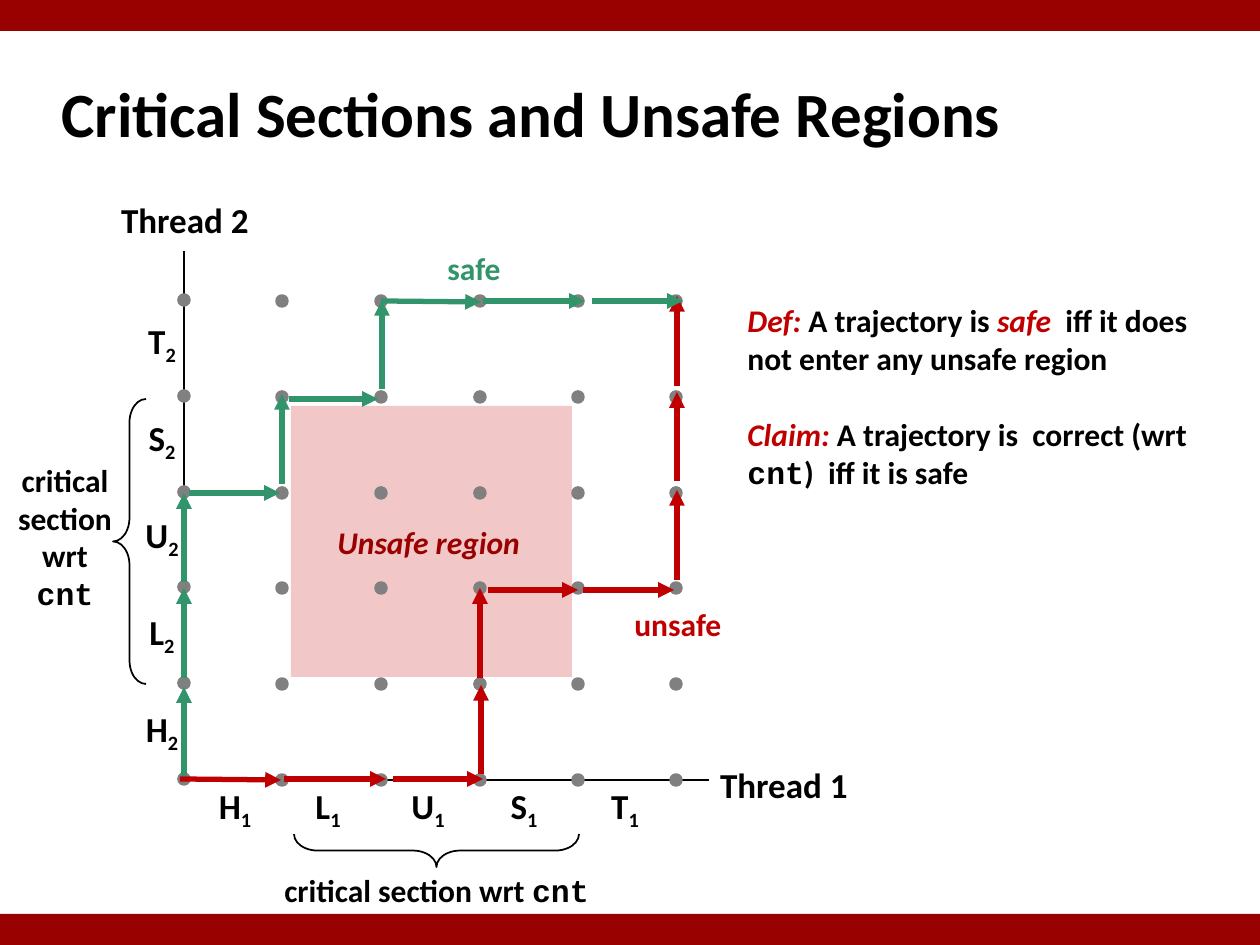
from dataclasses import dataclass

from lxml import etree
from pptx import Presentation
from pptx.dml.color import RGBColor
from pptx.enum.shapes import MSO_CONNECTOR, MSO_SHAPE
from pptx.enum.text import MSO_ANCHOR, PP_ALIGN
from pptx.oxml.ns import qn
from pptx.slide import Slide
from pptx.util import Emu, Pt

STRAIGHT = MSO_CONNECTOR.STRAIGHT
RECTANGLE, OVAL, BRACE = MSO_SHAPE.RECTANGLE, MSO_SHAPE.OVAL, MSO_SHAPE.LEFT_BRACE
TOP, MIDDLE = MSO_ANCHOR.TOP, MSO_ANCHOR.MIDDLE
LEFT, CENTER = PP_ALIGN.LEFT, PP_ALIGN.CENTER
EMU_PER_PX = 914400 / 126


@dataclass(frozen=True)
class Theme:
    bar: str = "990000"
    region: str = "F1C7C7"
    ink: str = "000000"
    dot: str = "808080"
    unsafe: str = "C00000"
    safe: str = "32946A"
    font: str = "Calibri"
    code: str = "Courier New"
    title: int = 36
    label: int = 20
    body: int = 18
    line_gap: int = 22
    thin: int = 1
    outline: int = 2
    thick: int = 3


THEME = Theme()


@dataclass(frozen=True)
class Span:
    text: str
    color: str = THEME.ink
    font: str = THEME.font
    italic: bool = False
    subscript: bool = False


@dataclass(frozen=True)
class Label:
    frame: tuple[int, int, int, int]
    paras: tuple[tuple[Span, ...], ...]
    size: int = THEME.body
    align: PP_ALIGN = CENTER
    anchor: MSO_ANCHOR = MIDDLE
    wrap: bool = False
    inset: int = 6


@dataclass(frozen=True)
class Trajectory:
    color: str
    steps: tuple[tuple[int, int, int, int], ...]


def px(value: float) -> Emu:
    return Emu(round(value * EMU_PER_PX))


def color(value: str) -> RGBColor:
    return RGBColor.from_string(value)


def draw_shape(page: Slide, kind: MSO_SHAPE, frame: tuple[int, int, int, int],
               fill: str | None = None, line: str | None = None, width: int = 1):
    shape = page.shapes.add_shape(kind, *map(px, frame))
    shape.shadow.inherit = False
    if fill:
        shape.fill.solid()
        shape.fill.fore_color.rgb = color(fill)
    else:
        shape.fill.background()
    if line:
        shape.line.color.rgb = color(line)
        shape.line.width = Pt(width)
    else:
        shape.line.fill.background()
    return shape


def draw_brace(page: Slide, frame: tuple[int, int, int, int], rotation: int = 0) -> None:
    brace = draw_shape(page, BRACE, frame, line=THEME.ink, width=THEME.thin)
    brace.adjustments[0] = 0.715
    brace.rotation = rotation


def draw_line(page: Slide, ends: tuple[int, int, int, int], stroke: str,
              width: int, arrow: bool = False) -> None:
    line = page.shapes.add_connector(STRAIGHT, *map(px, ends))
    line.line.color.rgb = color(stroke)
    line.line.width = Pt(width)
    if arrow:
        etree.SubElement(line.line._get_or_add_ln(), qn("a:tailEnd"), type="triangle")
    etree.SubElement(line._element.spPr, qn("a:effectLst"))


def draw_label(page: Slide, label: Label) -> None:
    box = page.shapes.add_textbox(*map(px, label.frame))
    frame = box.text_frame
    frame.word_wrap = label.wrap
    frame.vertical_anchor = label.anchor
    frame.margin_top = frame.margin_bottom = px(label.inset)
    for index, spans in enumerate(label.paras):
        para = frame.add_paragraph() if index else frame.paragraphs[0]
        para.alignment = label.align
        if index:
            para.space_before = Pt(THEME.line_gap)
        for span in spans:
            run = para.add_run()
            run.text = span.text
            run.font.name = span.font
            run.font.size = Pt(label.size)
            run.font.bold = True
            run.font.italic = span.italic
            run.font.color.rgb = color(span.color)
            if span.subscript:
                run._r.get_or_add_rPr().set("baseline", "-25000")


def draw_step_label(page: Slide, letter: str, thread: str, x: int, y: int) -> None:
    spans = (Span(letter), Span(thread, subscript=True))
    draw_label(page, Label((x - 34, y - 28, 68, 56), (spans,), THEME.label))


SECTION = (Span("critical section wrt "), Span("cnt", font=THEME.code))
DEFINITION = (
    Span("Def: ", THEME.unsafe, italic=True), Span("A trajectory is "),
    Span("safe  ", THEME.unsafe, italic=True),
    Span("iff it does not enter any unsafe region"),
)
CLAIM = (
    Span("Claim: ", THEME.unsafe, italic=True), Span("A trajectory is  correct (wrt "),
    Span("cnt", font=THEME.code), Span(")  iff it is safe"),
)
LABELS = (
    Label((49, 60, 1046, 105), ((Span("Critical Sections and Unsafe Regions"),),),
          THEME.title, LEFT),
    Label((707, 757, 154, 55), ((Span("Thread 1"),),), THEME.label),
    Label((108, 192, 154, 55), ((Span("Thread 2"),),), THEME.label),
    Label((270, 865, 333, 50), (SECTION,)),
    Label((0, 454, 130, 165), (SECTION,), wrap=True),
    Label((325, 517, 210, 50), ((Span("Unsafe region", THEME.bar, italic=True),),),
          align=LEFT, anchor=TOP),
    Label((735, 301, 483, 229), (DEFINITION, CLAIM), align=LEFT, anchor=TOP,
          wrap=True, inset=0),
    Label((622, 599, 113, 50), ((Span("unsafe", THEME.unsafe),),), align=LEFT, anchor=TOP),
    Label((435, 243, 80, 50), ((Span("safe", THEME.safe),),), align=LEFT, anchor=TOP),
)
TRAJECTORIES = (
    Trajectory(THEME.unsafe, (
        (180, 779, 281, 780), (284, 779, 386, 779), (393, 779, 483, 779),
        (481, 774, 481, 685), (480, 678, 480, 588), (488, 590, 578, 590),
        (583, 590, 674, 590), (677, 580, 677, 490), (677, 481, 677, 392),
        (677, 386, 677, 296))),
    Trajectory(THEME.safe, (
        (184, 776, 184, 687), (184, 678, 184, 588), (184, 582, 184, 493),
        (189, 493, 280, 493), (282, 484, 282, 394), (289, 399, 378, 399),
        (382, 389, 382, 300), (381, 301, 481, 302), (483, 301, 585, 301),
        (592, 301, 683, 301))),
)
AXES = ((184, 780, 709, 780), (184, 780, 184, 251))
BRACES = (((113, 399, 33, 285), 0), ((420, 708, 33, 285), 270))
STEP_CENTERS = (235, 328, 428, 524, 625)


def main() -> None:
    deck = Presentation()
    deck.slide_width, deck.slide_height = px(1260), px(945)
    page = deck.slides.add_slide(deck.slide_layouts[6])

    draw_shape(page, RECTANGLE, (291, 406, 281, 271), THEME.region)
    for axis in AXES:
        draw_line(page, axis, THEME.ink, THEME.thin)
    for index, (letter, x) in enumerate(zip("HLUST", STEP_CENTERS)):
        draw_step_label(page, letter, "1", x, 808)
        draw_step_label(page, letter, "2", 162, 731 - 97 * index)
    for column in range(6):
        for row in range(6):
            x = 179 + round(98.5 * column)
            y = (775 if column else 774) - round(95.8 * row)
            draw_shape(page, OVAL, (x, y, 10, 10), THEME.dot, THEME.dot, THEME.outline)
    for frame, rotation in BRACES:
        draw_brace(page, frame, rotation)
    for label in LABELS:
        draw_label(page, label)
    for trajectory in TRAJECTORIES:
        for step in trajectory.steps:
            draw_line(page, step, trajectory.color, THEME.thick, arrow=True)
    for top in (0, 914):
        draw_shape(page, RECTANGLE, (0, top, 1260, 31), THEME.bar)

    deck.save("out.pptx")


if __name__ == "__main__":
    main()
